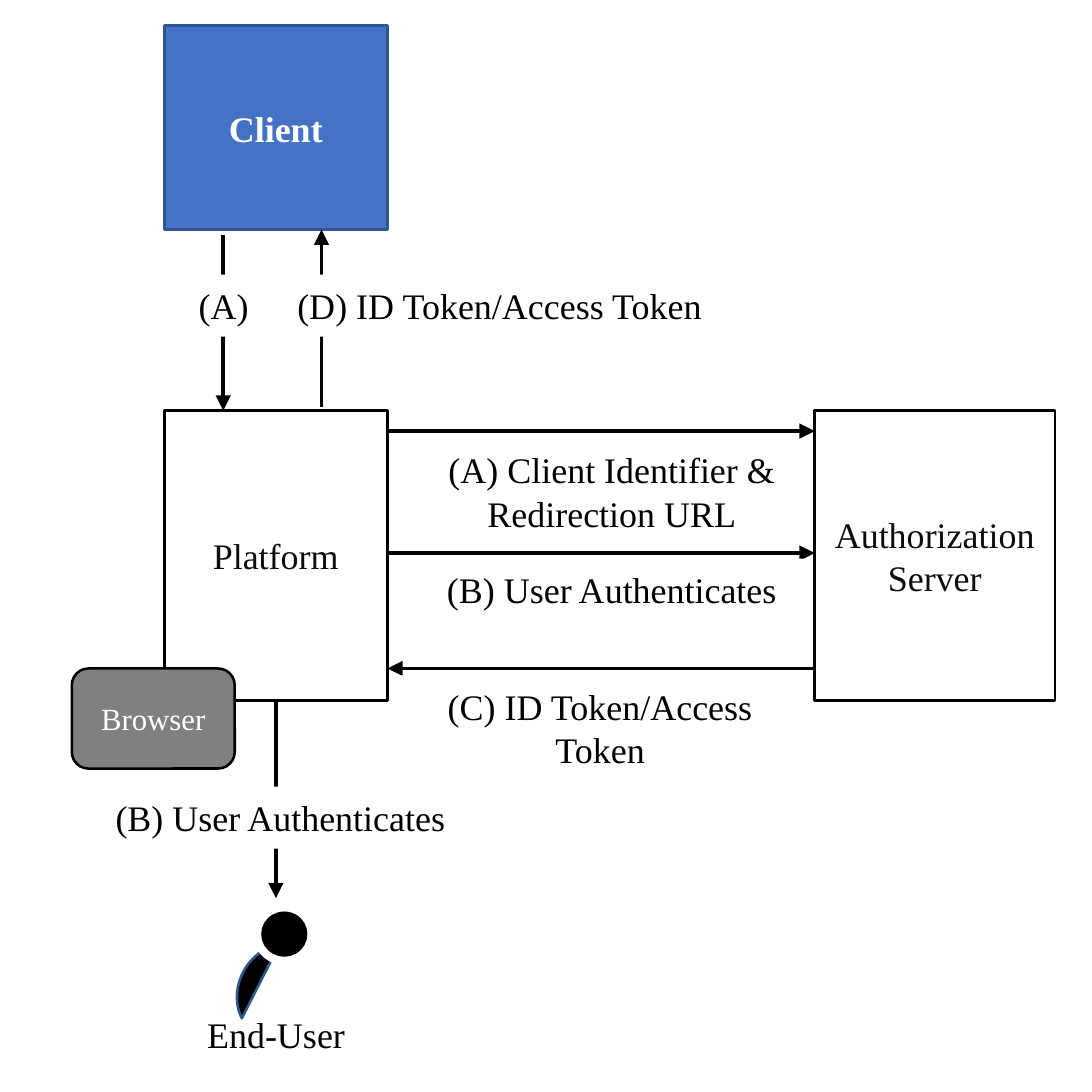
from typing import NamedTuple, Optional

from lxml.etree import SubElement
from pptx import Presentation
from pptx.dml.color import RGBColor
from pptx.enum.shapes import MSO_CONNECTOR, MSO_SHAPE
from pptx.enum.text import MSO_ANCHOR, PP_ALIGN
from pptx.oxml.ns import qn
from pptx.util import Pt

BLACK = RGBColor(0x00, 0x00, 0x00)
INK = RGBColor(0x0D, 0x0D, 0x0D)
WHITE = RGBColor(0xFF, 0xFF, 0xFF)
GRAY = RGBColor(0x80, 0x80, 0x80)
BLUE = RGBColor(0x44, 0x72, 0xC4)
NAVY = RGBColor(0x32, 0x54, 0x91)
FONT = "Times New Roman"
SIDE = 425.5

# Edges shared by the boxes and arrows
LEFT, RIGHT, SERVER_LEFT = 64, 151, 317.5
CLIENT_TOP, CLIENT_BOTTOM = 10, 89.5
ROW_TOP, ROW_BOTTOM = 160, 273


class Box(NamedTuple):
    text: str
    left: float
    top: float
    width: float
    height: float
    fill: RGBColor = WHITE
    line: RGBColor = BLACK
    color: RGBColor = INK
    size: float = 14
    bold: bool = False
    kind: MSO_SHAPE = MSO_SHAPE.RECTANGLE


class Label(NamedTuple):
    text: str
    left: float
    top: float
    width: float
    height: float = 24.2
    fill: Optional[RGBColor] = WHITE
    wrap: bool = True


class Arrow(NamedTuple):
    x1: float
    y1: float
    x2: float
    y2: float


BOXES = [
    Box("Client", LEFT, CLIENT_TOP, RIGHT - LEFT, CLIENT_BOTTOM - CLIENT_TOP,
        BLUE, NAVY, WHITE, bold=True),
    Box("Authorization\nServer", SERVER_LEFT, ROW_TOP, 93.6, ROW_BOTTOM - ROW_TOP),
    Box("Platform", LEFT, ROW_TOP, RIGHT - LEFT, ROW_BOTTOM - ROW_TOP),
    Box("Browser", 28, 260.5, 63.5, 39, GRAY, BLACK, WHITE, 12,
        kind=MSO_SHAPE.ROUNDED_RECTANGLE),
]
ARROWS = [
    Arrow(87, 91.5, 87, ROW_TOP),
    Arrow(125.3, 158.4, 125.3, CLIENT_BOTTOM),
    Arrow(RIGHT, 168, SERVER_LEFT, 168),
    Arrow(RIGHT, 215.5, SERVER_LEFT, 215.5),
    Arrow(SERVER_LEFT, 260.5, RIGHT, 260.5),
    Arrow(107.5, ROW_BOTTOM, 107.5, 350),
]
LABELS = [
    Label("(A)", 67, 107, 40.3),
    Label("(D) ID Token/Access Token", 99, 107, 191.5),
    Label("(A) Client Identifier & Redirection URL", 164, 171, 149, 41.2),
    Label("(B) User Authenticates", 164, 217.7, 149),
    Label("(C) ID Token/Access Token", 155, 263.2, 157.7, 41.2),
    Label("(B) User Authenticates", 28, 306.5, 162.7),
    Label("End-User", 73.4, 391.2, 68.4, fill=None, wrap=False),
]


def write(tf, text: str, *, size: float = 14, color: RGBColor = BLACK,
          bold: bool = False, anchor=MSO_ANCHOR.TOP, wrap: bool = True) -> None:
    tf.word_wrap = wrap
    tf.vertical_anchor = anchor
    for i, line in enumerate(text.split("\n")):
        p = tf.add_paragraph() if i else tf.paragraphs[0]
        p.alignment = PP_ALIGN.CENTER
        r = p.add_run()
        r.text = line
        r.font.name, r.font.size, r.font.bold = FONT, Pt(size), bold
        r.font.color.rgb = color


def add_shape(s, kind, left: float, top: float, width: float, height: float,
              fill: RGBColor, line: Optional[RGBColor] = None):
    sp = s.shapes.add_shape(kind, Pt(left), Pt(top), Pt(width), Pt(height))
    sp.shadow.inherit = False
    sp.fill.solid()
    sp.fill.fore_color.rgb = fill
    if line is None:
        sp.line.fill.background()
    else:
        sp.line.color.rgb = line
        sp.line.width = Pt(1)
    return sp


def draw_box(s, box: Box) -> None:
    sp = add_shape(s, box.kind, box.left, box.top, box.width, box.height,
                   box.fill, box.line)
    write(sp.text_frame, box.text, size=box.size, color=box.color,
          bold=box.bold, anchor=MSO_ANCHOR.MIDDLE)


def draw_label(s, label: Label) -> None:
    sp = s.shapes.add_textbox(Pt(label.left), Pt(label.top),
                              Pt(label.width), Pt(label.height))
    if label.fill is not None:
        sp.fill.solid()
        sp.fill.fore_color.rgb = label.fill
    write(sp.text_frame, label.text, wrap=label.wrap)


def draw_arrow(s, arrow: Arrow) -> None:
    cn = s.shapes.add_connector(MSO_CONNECTOR.STRAIGHT, *map(Pt, arrow))
    cn.line.color.rgb = BLACK
    cn.line.width = Pt(1.5)
    SubElement(cn.line._get_or_add_ln(), qn("a:tailEnd"), type="triangle")
    SubElement(cn._element.spPr, qn("a:effectLst"))


def draw_user(s) -> None:
    body = add_shape(s, MSO_SHAPE.CHORD, 89.3, 371.5, 36, 28.8, BLACK, NAVY)
    body.rotation = 113.2
    # Chord angles: 60000 units per degree, stored as parts of 100000
    for i, angle in enumerate((27, 161.09)):
        body.adjustments[i] = angle * 0.6
    add_shape(s, MSO_SHAPE.OVAL, 98.6, 352, 24.4, 24, WHITE)
    add_shape(s, MSO_SHAPE.OVAL, 102.3, 355.7, 17, 16.6, BLACK, BLACK)


prs = Presentation()
prs.slide_width = prs.slide_height = Pt(SIDE)
s = prs.slides.add_slide(prs.slide_layouts[6])

# Parties, then the messages between them
for box in BOXES:
    draw_box(s, box)
for arrow in ARROWS:
    draw_arrow(s, arrow)

# End user, then captions over the arrows
draw_user(s)
for label in LABELS:
    draw_label(s, label)

prs.save("out.pptx")
